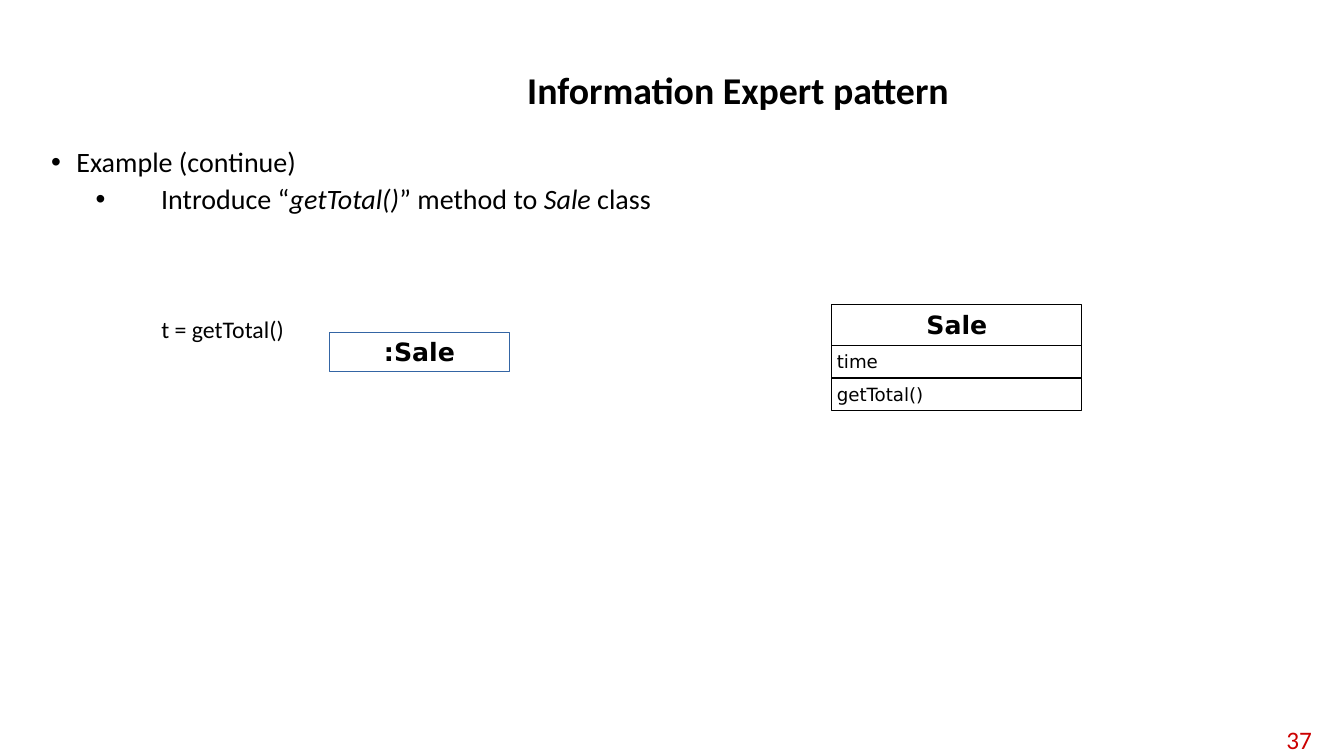
import pptx
import pptx.dml.color
import pptx.enum.shapes
import pptx.enum.text
import pptx.oxml
import pptx.oxml.ns
import pptx.util
from pptx.util import Inches

COLORS = {"ink": "000000", "number": "CC0000", "object_line": "3465A4"}
ALIGN = pptx.enum.text.PP_ALIGN
ANCHOR = pptx.enum.text.MSO_ANCHOR


def rgb(name):
    """Return the palette colour with this name."""
    return pptx.dml.color.RGBColor.from_string(COLORS[name])


def set_font(paragraph, size, face="Calibri", color="ink", bold=False):
    """Set the font shared by all runs of a paragraph."""
    font = paragraph.font
    font.size, font.name, font.bold = pptx.util.Pt(size), face, bold
    font.color.rgb = rgb(color)


def set_frame(frame, inset=None, anchor=ANCHOR.TOP, wrap=True):
    """Set the wrapping, anchor and insets of a text frame."""
    frame.word_wrap = wrap
    frame.vertical_anchor = anchor
    if inset is not None:
        frame.margin_left = frame.margin_right = Inches(inset)
        frame.margin_top = frame.margin_bottom = Inches(inset)


def add_label(slide, place, text, size, align=ALIGN.LEFT, inset=None, wrap=True, **font):
    """Add a one-line text box centred vertically."""
    frame = slide.shapes.add_textbox(*map(Inches, place)).text_frame
    set_frame(frame, inset, ANCHOR.MIDDLE, wrap)
    paragraph = frame.paragraphs[0]
    paragraph.text, paragraph.alignment, paragraph.line_spacing = text, align, 1.0
    set_font(paragraph, size, **font)
    return paragraph


def add_bullet(paragraph, pieces, left, hanging, level=0):
    """Fill a bulleted paragraph with (text, italic) pieces."""
    paragraph.level = level
    paragraph.line_spacing = 0.9
    properties = paragraph._p.get_or_add_pPr()
    properties.set("marL", str(Inches(left)))
    properties.set("indent", str(-Inches(hanging)))
    namespace = pptx.oxml.ns.nsdecls("a")
    properties.append(pptx.oxml.parse_xml(f'<a:buFont {namespace} typeface="Arial"/>'))
    properties.append(pptx.oxml.parse_xml(f'<a:buChar {namespace} char="•"/>'))
    set_font(paragraph, 20)
    for text, italic in pieces:
        run = paragraph.add_run()
        run.text = text
        if italic:
            run.font.italic = True


def add_uml_box(shapes, place, text, size, inset, heading=False, line="ink"):
    """Add an outlined UML compartment, centred and bold for a heading."""
    box = shapes.add_shape(pptx.enum.shapes.MSO_SHAPE.RECTANGLE, *map(Inches, place))
    box.shadow.inherit = False
    box.fill.background()
    box.line.color.rgb = rgb(line)
    box.line.width = pptx.util.Pt(0.75)
    set_frame(box.text_frame, inset)
    paragraph = box.text_frame.paragraphs[0]
    paragraph.text = text
    paragraph.alignment = ALIGN.CENTER if heading else ALIGN.LEFT
    set_font(paragraph, size, "DejaVu Sans", bold=heading)


def add_uml_class(slide, left, top, width, rows):
    """Stack the compartments of a class; the first is its name."""
    group = slide.shapes.add_group_shape()
    for index, (text, height, size) in enumerate(rows):
        add_uml_box(group.shapes, (left, top, width, height), text, size, 0.05, index == 0)
        top += height


def main():
    """Build the slide and save it."""
    deck = pptx.Presentation()
    deck.slide_width, deck.slide_height = Inches(13.33), Inches(7.5)
    slide = deck.slides.add_slide(deck.slide_layouts[6])

    add_label(slide, (12.42, 7.16, 0.69, 0.36), "37", 18, ALIGN.RIGHT, color="number")
    title = add_label(slide, (2.23, 0.4, 10.18, 1.02), "Information Expert pattern",
                      27, ALIGN.CENTER, bold=True)
    title.line_spacing = 0.9

    body = slide.shapes.add_textbox(*map(Inches, (0.41, 1.42, 11.8, 5.17))).text_frame
    set_frame(body)
    add_bullet(body.paragraphs[0], [("Example (continue)", False)], 0.25, 0.25)
    method = body.add_paragraph()
    method.space_before = pptx.util.Pt(5)
    add_bullet(method, [("Introduce “", False), ("getTotal()", True), ("” method to ", False),
                        ("Sale", True), (" class", False)], 1.09, 0.65, level=1)

    add_uml_box(slide.shapes, (3.27, 3.3, 1.78, 0.39), ":Sale", 18, 0.04, True, "object_line")
    add_label(slide, (1.55, 3.07, 1.32, 0.38), "t = getTotal()", 17, inset=0.05, wrap=False)
    add_uml_class(slide, 8.25, 3.02, 2.48,
                  [("Sale", 0.41, 18), ("time", 0.32, 13), ("getTotal()", 0.32, 13)])

    deck.save("out.pptx")


if __name__ == "__main__":
    main()
